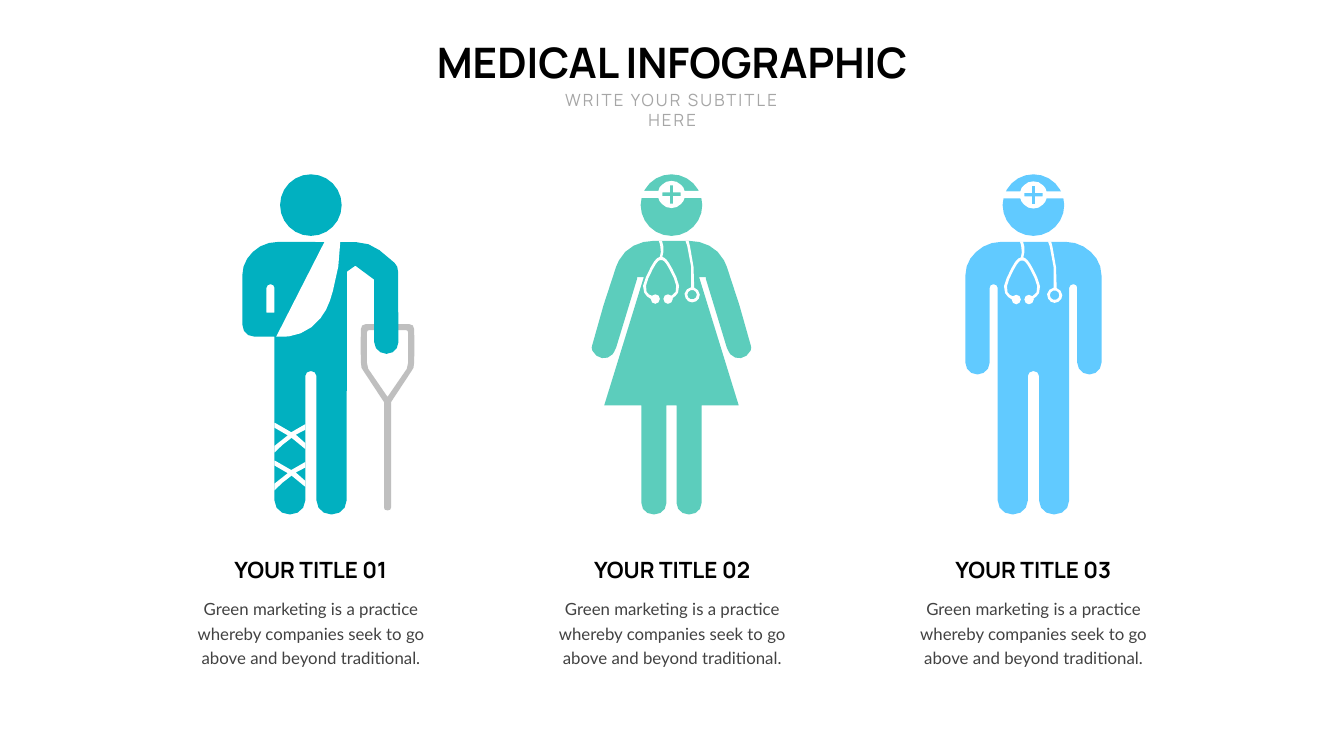
from pptx import Presentation
from pptx.dml.color import RGBColor
from pptx.enum.text import MSO_ANCHOR, MSO_AUTO_SIZE, PP_ALIGN
from pptx.util import Pt
from math import ceil, cos, hypot, pi, sin, sqrt

TOP = 249
TOLERANCE = 0.9
CENTERS = [444 + 516 * i for i in range(3)]
TEAL, MINT, SKY = "01B0C0", "5CCDBC", "61CAFF"
WHITE, GRAY, BLACK = "FFFFFF", "BFBFBF", "000000"
DESCRIPTION = "Green marketing is a practice whereby companies seek to go above and beyond traditional."

MAN_HALF = """M 0 96.5 L 46 96.5 C 60 96.5 72.5 102 82 111 C 91.5 119.5 97.2 131 97.2 144.5
L 97.2 269 C 97.2 278.5 89.5 286 80 286 C 70.5 286 62.5 278.5 62.5 269
L 62.5 162 C 62.5 159 60.5 157 57 157 C 54 157 51 159 51 162
L 51 466 C 51 477.5 42 486 29.5 486 C 17.5 486 8 477.5 8 466 L 8 288 C 8 284 4.5 281 0 281"""
WOMAN_HALF = """M 0 95 L 24.5 95 C 45.5 95 65.5 104.5 75 123 L 79 132
C 85.5 150 91.5 168.5 97 187 L 113 243.5 C 114.5 246 114 249 113 252
C 107 264 92 266.5 84 257 C 83 255.5 80.5 251.5 79 247.5 L 49 149
L 49 147 L 39.5 147 L 96 330 L 43 330 L 43 469.5 C 43 479 35.5 486 25 486
C 15 486 7.2 479 7.2 469.5 L 7.2 330 L 0 330"""
PATIENT = """M -46 96.5 C -60.5 96.5 -73.5 101.5 -83 111 C -92 119.5 -98 131 -98 144.5
L -98 214 C -98 225 -90 232 -80.5 232 L -52 232 L -52 466
C -52 477.5 -42 486 -30 486 C -18 486 -8 477.5 -8 466 L -8 288 C -8 284 -4.5 281 0 281
C 4.5 281 8 284 8 288 L 8 466 C 8 477.5 17.5 486 29.5 486 C 42 486 51 477.5 51 466
L 51.5 139 L 63.5 130.5 L 90.5 150.5 L 90.5 240 C 90.5 249 98.5 256.5 108 256.5
C 117.5 256.5 125 249 125 240 L 124.5 139 C 124.5 134 123 129.5 119.5 126.5
L 98 108.5 C 88 101 77 97 65 97"""
PATIENT_ARM_GAP = """M -57.5 157 C -54.5 157 -52 159 -52 162 L -52 197.5 L -63.5 197.5
L -63.5 162 C -63.5 159 -60.5 157 -57.5 157"""
SLING = """M 19.5 96.5 L 42 96.5 C 42 120 38 144 31.5 166.5
C 28 180 23 194.5 13.5 206 C -1.5 225.5 -26 234.5 -49.5 232"""
BANDAGE = """M -52 355 L -52 362 L -33 373 C -39.5 377.5 -46 382.5 -52 388
L -52 397.5 C -44.5 389.5 -36 382.5 -27.5 376.5 L -8 392.5 L -8 384 L -21.5 372 L -8 365
L -8 357 L -28 368.5 C -35 363.5 -42.5 359.5 -50.5 355.5"""
CRUTCH_HALF = """M 0 214 L 31 214 C 35.5 214 38 217 38 221 L 38.5 245 L 38 269
C 38 275 37 278.5 34 281.5 L 5 325.5 L 5 476 C 5 479 3.5 480 0.5 480 L 0 480"""
CRUTCH_GAP_HALF = """M 0 222.5 L 26 222.5 C 28 222.5 29.5 224 29.5 226 L 29.5 269
C 29.5 272 29 275 27.5 278 L 0 318"""
BADGE_HALF = """M 0 9.4 C 5 9.4 10 11 13.5 15 C 16.5 17 18 20 18.7 23.8 L 41 23.8 L 43 29
L 44.5 33.8 L 18.7 33.8 C 18 36.7 16.5 40 13.5 42.5 C 10 46.5 5 48.2 0 48.2"""
CROSS_HALF = """M 0 15.8 L 2.4 15.8 L 2.4 26 L 13 26 L 13 31 L 2.4 31 L 2.4 41.8 L 0 41.8"""
EARPIECES = """M -18 95 C -17.5 97 -16 100 -16 102 C -14.5 108 -15 114 -16.5 118
C -21.5 119 -26 124 -36.5 147 C -41 155.5 -42 163.5 -39 169 C -36.5 173.5 -33 176.5 -29.5 178
C -30 182 -26.5 185 -23 185 C -19.5 185 -16.5 181.5 -16.5 178 C -16.5 174 -19.5 171.5 -23 171.5
C -25 171.5 -26.5 172 -28 173.5 C -31 173 -34 170.5 -35.5 168 C -37.5 162.5 -36.5 156 -33 148.5
C -21 122.5 -18 122.5 -15 122.5 C -11.5 122.5 -8.5 122.5 3.5 148.5 C 7 156 8 162.5 6 168
C 4.5 170 2 172 0 173.5 C -1.5 172 -3 171.5 -5 171.5 C -8.5 171.5 -11.5 174 -11.5 178
C -11.5 182 -8.5 185 -5 185 C -1.5 185 2 182 2 178 L 1.5 177 C 4.5 175 7 173 9.5 169
C 12 163.5 11.5 155.5 7 147 C -3.5 124 -8 119.5 -13 118 C -11.5 114 -11 108 -11.5 103
C -12 100 -13 97 -13.5 95"""
HOSE = """M 20 95 L 22.5 102 C 28 121.5 30 142 28 161.5
C 24 162 19.5 165.5 18.7 170.5 C 18.7 178 24 183 29.5 183 C 35.5 183 40.5 178 40.5 172
C 40.5 167 36.5 163.5 32.5 162 C 33 142 31.5 122.5 26.5 103 L 24.5 95"""


def color(value):
    return RGBColor.from_string(value)


def bezier(points):
    bends = [hypot(a[0] - 2 * b[0] + c[0], a[1] - 2 * b[1] + c[1])
             for a, b, c in zip(points, points[1:], points[2:])]
    steps = max(1, ceil(sqrt(0.75 * max(bends) / TOLERANCE)))
    for n in range(1, steps + 1):
        t = n / steps
        weights = ((1 - t) ** 3, 3 * t * (1 - t) ** 2, 3 * t * t * (1 - t), t ** 3)
        yield tuple(sum(w * p[axis] for w, p in zip(weights, points)) for axis in (0, 1))


def outline(text):
    points, tokens = [], iter(text.split())
    for command in tokens:
        count = 3 if command == "C" else 1
        ends = [(float(next(tokens)), float(next(tokens))) for _ in range(count)]
        points += bezier([points[-1]] + ends) if command == "C" else ends
    return points


def mirrored(text):
    half = outline(text)
    return half + [(-x, y) for x, y in reversed(half) if x]


def circle(x, y, radius, steps):
    angles = [2 * pi * n / steps for n in range(steps)]
    return [(x + radius * cos(a), y + radius * sin(a)) for a in angles]


def add_outline(slide, contours, fill, cx, dy=0):
    placed = [[(Pt(cx + x), Pt(TOP + dy + y)) for x, y in c] for c in contours]
    builder = slide.shapes.build_freeform(*placed[0][0])
    for n, points in enumerate(placed):
        if n:
            builder.move_to(*points[0])
        builder.add_line_segments(points[1:], close=True)
    sp = builder.convert_to_shape()
    sp.shadow.inherit = False
    sp.fill.solid()
    sp.fill.fore_color.rgb = color(fill)
    sp.line.fill.background()


def add_text(slide, text, cx, top, width, height, size, fill, font="Manrope", bold=False,
             wrap=True, anchor=MSO_ANCHOR.TOP, spacing=None, leading=None, before=None):
    sp = slide.shapes.add_textbox(Pt(cx - width / 2), Pt(top), Pt(width), Pt(height))
    tf = sp.text_frame
    tf.word_wrap = wrap
    tf.auto_size = MSO_AUTO_SIZE.SHAPE_TO_FIT_TEXT
    tf.vertical_anchor = anchor
    p = tf.paragraphs[0]
    p.alignment = PP_ALIGN.CENTER
    if leading:
        p.line_spacing = Pt(leading)
    if before:
        p.space_before = Pt(before)
    r = p.add_run()
    r.text = text
    r.font.name, r.font.size, r.font.bold = font, Pt(size), bold
    r.font.color.rgb = color(fill)
    if spacing:
        r._r.get_or_add_rPr().set("spc", str(spacing * 100))


def add_badge(slide, cx, dy=0):
    add_outline(slide, [mirrored(BADGE_HALF), mirrored(CROSS_HALF)], WHITE, cx, dy)


def add_patient(slide, cx, head):
    add_outline(slide, [mirrored(CRUTCH_HALF), mirrored(CRUTCH_GAP_HALF)], GRAY, cx + 109.5)
    add_outline(slide, [head, outline(PATIENT), outline(PATIENT_ARM_GAP)], TEAL, cx)
    upper = outline(BANDAGE)
    lower = [(x, y + 54) for x, y in upper]
    add_outline(slide, [upper, lower], WHITE, cx)
    add_outline(slide, [outline(SLING)], WHITE, cx)


def add_woman_doctor(slide, cx, head, earpieces, chestpiece):
    add_outline(slide, [head, mirrored(WOMAN_HALF)], MINT, cx)
    add_outline(slide, [earpieces] + chestpiece, WHITE, cx)
    add_badge(slide, cx)


def add_man_doctor(slide, cx, head, earpieces, chestpiece):
    add_outline(slide, [head, mirrored(MAN_HALF)], SKY, cx)
    add_outline(slide, [earpieces], WHITE, cx - 1.5, 0.7)
    add_outline(slide, chestpiece, WHITE, cx + 0.7, 0.7)
    add_badge(slide, cx, 0.7)


def main():
    prs = Presentation()
    prs.slide_width, prs.slide_height = Pt(1919.5), Pt(1080)
    slide = prs.slides.add_slide(prs.slide_layouts[6])
    add_text(slide, "MEDICAL INFOGRAPHIC", 960, 48, 718, 80, 60, BLACK, bold=True, wrap=False)
    add_text(slide, "WRITE YOUR SUBTITLE HERE", 960, 124, 391, 36, 24, "A6A6A6", spacing=3)

    head = circle(0, 44, 44, 24)
    stethoscope = outline(EARPIECES), [outline(HOSE), circle(29.5, 172, 6.8, 10)]
    add_woman_doctor(slide, CENTERS[1] - 1, head, *stethoscope)
    add_man_doctor(slide, CENTERS[2], head, *stethoscope)
    add_patient(slide, CENTERS[0], head)

    for n, cx in enumerate(CENTERS, 1):
        add_text(slide, f"YOUR TITLE {n:02}", cx, 790.5, 238, 46, 32, BLACK, bold=True,
                 wrap=False, anchor=MSO_ANCHOR.MIDDLE)
        add_text(slide, DESCRIPTION, cx, 846, 362, 109.5, 24, "424242", font="Lato",
                 leading=35, before=4.8)
    prs.save("out.pptx")


if __name__ == "__main__":
    main()
